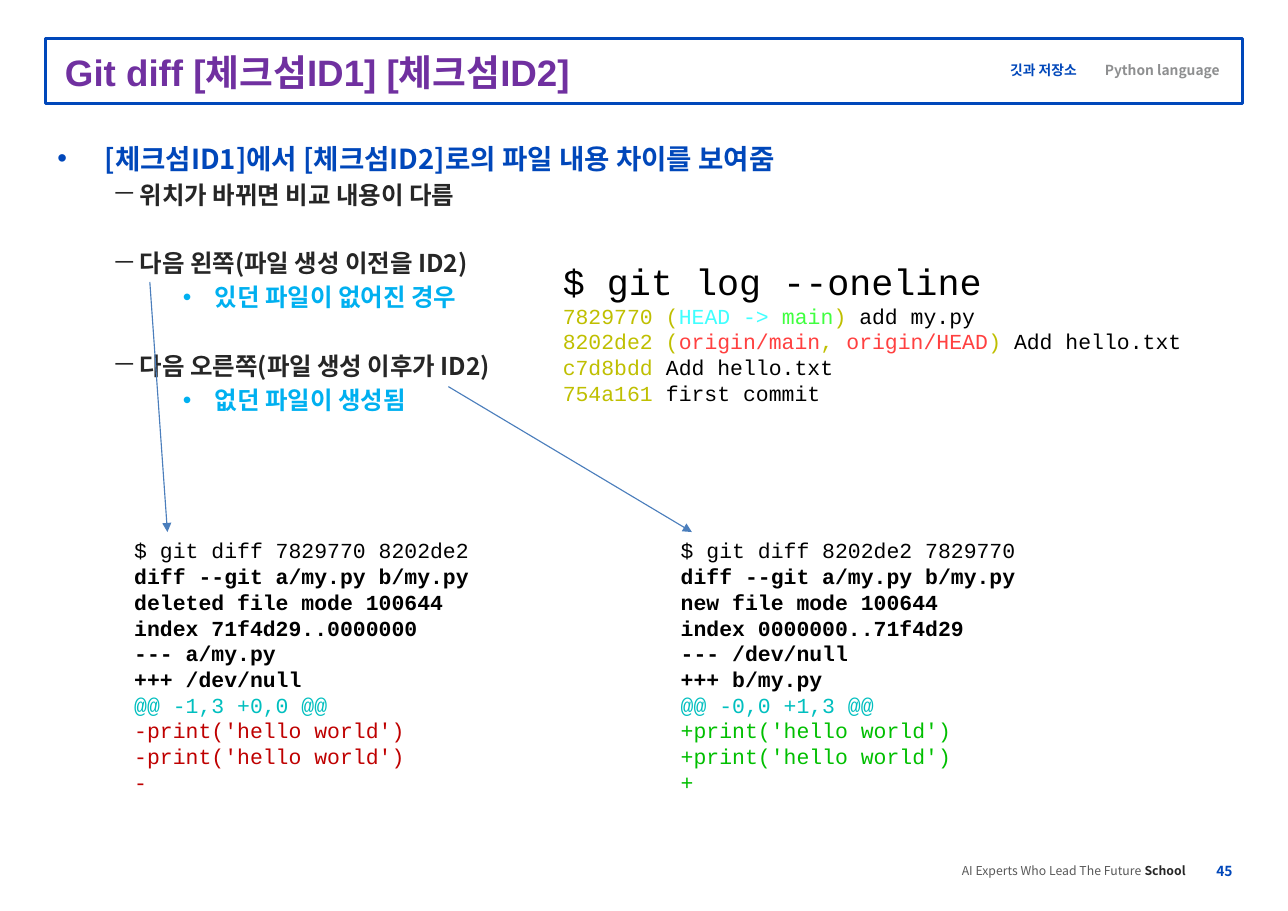
from lxml import etree
from pptx import Presentation
from pptx import util as u
from pptx.dml.color import RGBColor
from pptx.enum import shapes, text
from pptx.oxml.ns import qn

HEX = {
    "blue": "0047BA", "purple": "7030A0", "sky": "00B0F0", "dark": "262626",
    "gray": "8E8F90", "mid": "595959", "black": "000000", "arrow": "4B7EBC",
    "cyan": "00BFBF", "red": "BF0000", "green": "00BF00", "gold": "BFBF00",
    "aqua": "40FFFF", "lime": "40FF40", "coral": "FF4040",
}
SANS, ARIAL, MONO = "Noto Sans CJK KR", "Arial", "Courier New"


def color(name):
    return RGBColor.from_string(HEX[name])


class Page:
    def __init__(self, deck):
        self.slide = deck.slides.add_slide(deck.slide_layouts[1])
        self.shapes = self.slide.shapes

    def place(self, shape, box):
        shape.left, shape.top, shape.width, shape.height = map(u.Inches, box)

    def style(self, run, size, tint, bold=False, face=SANS):
        font = run.font
        font.size, font.bold, font.name = u.Pt(size), bold, face
        font.color.rgb = color(tint)
        # East Asian face for Hangul
        if face != MONO:
            etree.SubElement(run._r.rPr, qn("a:ea"), typeface=SANS)

    def inset(self, frame, x, y):
        frame.margin_left = frame.margin_right = u.Inches(x)
        frame.margin_top = frame.margin_bottom = u.Inches(y)

    def frame(self, box):
        rect = self.shapes.add_shape(shapes.MSO_SHAPE.RECTANGLE, *map(u.Inches, box))
        rect.shadow.inherit = False
        rect.fill.background()
        rect.line.color.rgb = color("blue")
        rect.line.width = u.Pt(2)

    def title(self, words, box):
        head = self.shapes.title
        self.place(head, box)
        # Bring the title in front of its frame
        self.shapes._spTree.append(head._element)
        tf = head.text_frame
        tf.text = words
        tf.auto_size = text.MSO_AUTO_SIZE.NONE
        tf.vertical_anchor = text.MSO_ANCHOR.MIDDLE
        self.inset(tf, 0.11, 0.06)
        tf.paragraphs[0].alignment = text.PP_ALIGN.LEFT
        self.style(tf.paragraphs[0].runs[0], 24, "purple", True, ARIAL)

    def body(self, items, box):
        # Level: size, line height, left indent, hanging indent, bullet
        levels = [(18, 22, 0.43, -0.43, "•"), (16, 19.2, 0.75, -0.25, "－"),
                  (16, 19.2, 1.43, -0.29, "•")]
        shape = self.slide.placeholders[1]
        self.place(shape, box)
        tf = shape.text_frame
        tf.text = "\n".join(item[0] for item in items)
        tf.auto_size = text.MSO_AUTO_SIZE.NONE
        self.inset(tf, 0.11, 0.06)
        for par, (_, level, tint, gap) in zip(tf.paragraphs, items):
            size, high, left, hang, mark = levels[level]
            par.level = level
            par.line_spacing = u.Pt(high)
            par.space_before = u.Pt(size * 0.2 + gap)
            props = par._p.get_or_add_pPr()
            props.set("marL", str(u.Inches(left)))
            props.set("indent", str(u.Inches(hang)))
            etree.SubElement(props, qn("a:buChar"), char=mark)
            self.style(par.runs[0], size, tint, True)

    def label(self, box, parts, size, face=SANS, pad=0.0):
        tf = self.shapes.add_textbox(*map(u.Inches, box)).text_frame
        tf.word_wrap = False
        tf.vertical_anchor = text.MSO_ANCHOR.MIDDLE
        self.inset(tf, pad, pad / 2)
        for words, tint, bold in parts:
            run = tf.paragraphs[0].add_run()
            run.text = words
            self.style(run, size, tint, bold, face)

    def code(self, box, lines):
        """Each line is (size, bold, [(words, tint), ...])."""
        tf = self.shapes.add_textbox(*map(u.Inches, box)).text_frame
        tf.word_wrap = True
        for i, (size, bold, parts) in enumerate(lines):
            par = tf.add_paragraph() if i else tf.paragraphs[0]
            par.line_spacing = u.Pt(size * 1.2)
            for words, tint in parts:
                run = par.add_run()
                run.text = words
                self.style(run, size, tint, bold, MONO)

    def diff(self, box, rows, tint):
        tints = ["black"] * 6 + ["cyan"] + [tint] * 3
        self.code(box, [(14, 1 <= i <= 5, [pair])
                        for i, pair in enumerate(zip(rows, tints))])

    def arrow(self, *ends):
        line = self.shapes.add_connector(
            shapes.MSO_CONNECTOR.STRAIGHT, *map(u.Inches, ends))
        line.line.color.rgb = color("arrow")
        line.line.width = u.Pt(0.75)
        etree.SubElement(line.line._get_or_add_ln(), qn("a:tailEnd"), type="triangle")
        etree.SubElement(line._element.spPr, qn("a:effectLst"))


def main():
    deck = Presentation()
    deck.slide_width, deck.slide_height = u.Inches(11.69), u.Inches(8.27)
    page = Page(deck)

    # Header and footer
    page.frame((0.41, 0.35, 10.87, 0.59))
    page.label((9.93, 0.51, 1.27, 0.25), [("Python language", "gray", True)], 9, pad=0.1)
    page.label((9.07, 0.51, 0.88, 0.25), [("깃과 저장소", "blue", True)], 9, ARIAL, 0.1)
    page.label((8.73, 7.84, 2.17, 0.13), [
        ("AI Experts Who Lead The Future ", "mid", False), ("School", "dark", True)], 8)
    page.label((11.04, 7.83, 0.16, 0.15), [("45", "blue", True)], 9)

    # Title and list: words, level, tint, extra space before
    page.title("Git diff [체크섬ID1] [체크섬ID2]", (0.48, 0.46, 10.09, 0.38))
    page.body([
        ("[체크섬ID1]에서 [체크섬ID2]로의 파일 내용 차이를 보여줌", 0, "blue", 0),
        ("위치가 바뀌면 비교 내용이 다름", 1, "dark", 0),
        ("다음 왼쪽(파일 생성 이전을 ID2)", 1, "dark", 22.4),
        ("있던 파일이 없어진 경우", 2, "sky", 0),
        ("다음 오른쪽(파일 생성 이후가 ID2)", 1, "dark", 22.4),
        ("없던 파일이 생성됨", 2, "sky", 0),
    ], (0.41, 1.22, 10.79, 6.38))

    # Both diffs
    page.diff((1.12, 4.83, 3.86, 2.46), [
        "$ git diff 7829770 8202de2", "diff --git a/my.py b/my.py",
        "deleted file mode 100644", "index 71f4d29..0000000",
        "--- a/my.py", "+++ /dev/null", "@@ -1,3 +0,0 @@",
        "-print('hello world')", "-print('hello world')", "-"], "red")
    page.diff((6.08, 4.83, 4.25, 2.46), [
        "$ git diff 8202de2 7829770", "diff --git a/my.py b/my.py",
        "new file mode 100644", "index 0000000..71f4d29",
        "--- /dev/null", "+++ b/my.py", "@@ -0,0 +1,3 @@",
        "+print('hello world')", "+print('hello world')", "+"], "green")

    # Commit log
    log = [
        [("7829770 (", "gold"), ("HEAD -> ", "aqua"), ("main", "lime"),
         (")", "gold"), (" add my.py", "black")],
        [("8202de2 (", "gold"), ("origin/main", "coral"), (", ", "gold"),
         ("origin/HEAD", "coral"), (")", "gold"), (" Add hello.txt", "black")],
        [("c7d8bdd", "gold"), (" Add hello.txt", "black")],
        [("754a161", "gold"), (" first commit", "black")],
    ]
    page.code((5.01, 2.3, 6.3, 1.45),
              [(24, False, [("$ git log --oneline", "black")])]
              + [(14, False, row) for row in log])

    # Arrows from list to diffs
    page.arrow(1.36, 2.56, 1.52, 4.83)
    page.arrow(4.07, 3.51, 6.28, 4.83)

    deck.save("out.pptx")


if __name__ == "__main__":
    main()
